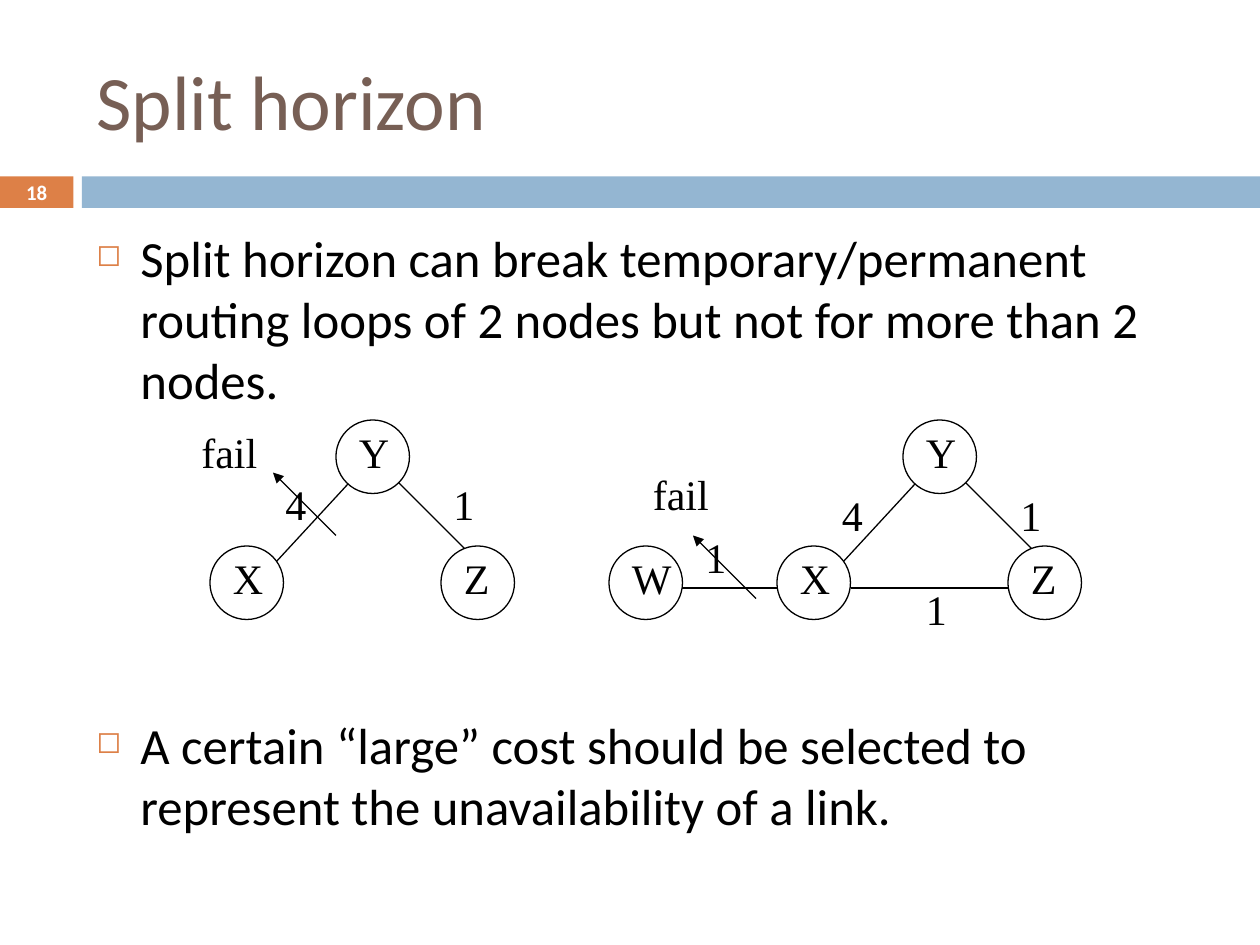
from lxml import etree
from pptx import Presentation
from pptx.dml.color import RGBColor
from pptx.enum.shapes import MSO_CONNECTOR, MSO_SHAPE
from pptx.enum.text import MSO_ANCHOR, PP_ALIGN
from pptx.oxml.ns import qn
from pptx.util import Pt

RECT, OVAL = MSO_SHAPE.RECTANGLE, MSO_SHAPE.OVAL
STRAIGHT = MSO_CONNECTOR.STRAIGHT
TOP, MIDDLE = MSO_ANCHOR.TOP, MSO_ANCHOR.MIDDLE
LEFT, CENTER = PP_ALIGN.LEFT, PP_ALIGN.CENTER

THEME = {
    "title": ("Calibri", 44, "775F55"),
    "body": ("Calibri", 29, "000000"),
    "number": ("Calibri", 11.9, "FFFFFF"),
    "label": ("Times New Roman", 24, "000000"),
    "orange": "DD8047",
    "blue": "94B6D2",
    "white": "FFFFFF",
    "ink": "000000",
}
LINE_WIDTH = 0.75
NODE = 42

prs = Presentation()
prs.slide_width, prs.slide_height = Pt(720), Pt(540)
s = prs.slides.add_slide(prs.slide_layouts[6])


def add_text(box, paragraphs, style, anchor=TOP, align=LEFT):
    font, size, color = THEME[style]
    sp = s.shapes.add_textbox(*map(Pt, box))
    tf = sp.text_frame
    tf.word_wrap = True
    tf.vertical_anchor = anchor
    tf.text = "\n".join(paragraphs)
    for p in tf.paragraphs:
        p.alignment = align
        for r in p.runs:
            r.font.name, r.font.size = font, Pt(size)
            r.font.color.rgb = RGBColor.from_string(color)
    return tf


def add_preset(kind, box, fill):
    sp = s.shapes.add_shape(kind, *map(Pt, box))
    sp.shadow.inherit = False
    sp.fill.solid()
    sp.fill.fore_color.rgb = RGBColor.from_string(THEME[fill])
    sp.line.fill.background()
    return sp


# Header band, title and slide number
add_preset(RECT, (0, 100.8, 42, 18), "orange")
add_preset(RECT, (46.8, 100.8, 673.2, 18), "blue")
add_text((48, 18, 642, 78), ["Split horizon"], "title", MIDDLE)
tf = add_text((0, 100, 42, 19.6), ["18"], "number", MIDDLE, CENTER)
tf.paragraphs[0].runs[0].font.bold = True

# Bulleted body, with room for the diagrams between the two points
tf = add_text((48, 126, 642, 354), [
    "Split horizon can break temporary/permanent routing loops of 2 nodes "
    "but not for more than 2 nodes.",
    "A certain “large” cost should be selected to represent the "
    "unavailability of a link.",
], "body")
for p, gap in zip(tf.paragraphs, (7, 174)):
    p.space_before = Pt(gap)
    pPr = p._p.get_or_add_pPr()
    pPr.set("marL", str(Pt(25.2)))
    pPr.set("indent", str(-Pt(25.2)))
    color = etree.SubElement(pPr, qn("a:buClr"))
    etree.SubElement(color, qn("a:srgbClr"), val=THEME["orange"])
    etree.SubElement(pPr, qn("a:buSzPct"), val="60000")
    etree.SubElement(pPr, qn("a:buChar"), char="◻")

# The X-Y-Z group is shared by both diagrams
links, nodes = [], []
for x in (120, 444):
    links += [(x + 24, 336, x + 96, 258), (x + 96, 264, x + 156, 324)]
    nodes += [("X", x, 312), ("Y", x + 72, 240), ("Z", x + 132, 312)]
links += [(444, 336, 390, 336), (486, 336, 576, 336)]
nodes.append(("W", 348, 312))
failures = [(192, 306), (432, 342)]

# Links, and arrows that mark the failed ones
arrows = [(x, y, x - 36, y - 36) for x, y in failures]
for ends in links + arrows:
    cn = s.shapes.add_connector(STRAIGHT, *map(Pt, ends))
    cn.line.color.rgb = RGBColor.from_string(THEME["ink"])
    cn.line.width = Pt(LINE_WIDTH)
    if ends in arrows:
        etree.SubElement(cn.line._get_or_add_ln(), qn("a:tailEnd"), type="triangle")
    etree.SubElement(cn._element.spPr, qn("a:effectLst"))

# Nodes and their names
for name, x, y in nodes:
    sp = add_preset(OVAL, (x, y, NODE, NODE), "white")
    sp.line.color.rgb = RGBColor.from_string(THEME["ink"])
    sp.line.width = Pt(LINE_WIDTH)
    add_text((x + 6, y, 36, 36), [name], "label")

# Link costs and failure labels
for text, x, y, width in [
    ("4", 156, 270, 36), ("1", 252, 270, 36), ("fail", 108, 240, 60),
    ("1", 396, 300, 36), ("4", 474, 276, 36), ("1", 576, 276, 36),
    ("1", 522, 330, 36), ("fail", 366, 264, 60),
]:
    add_text((x, y, width, 36), [text], "label")

prs.save("out.pptx")
